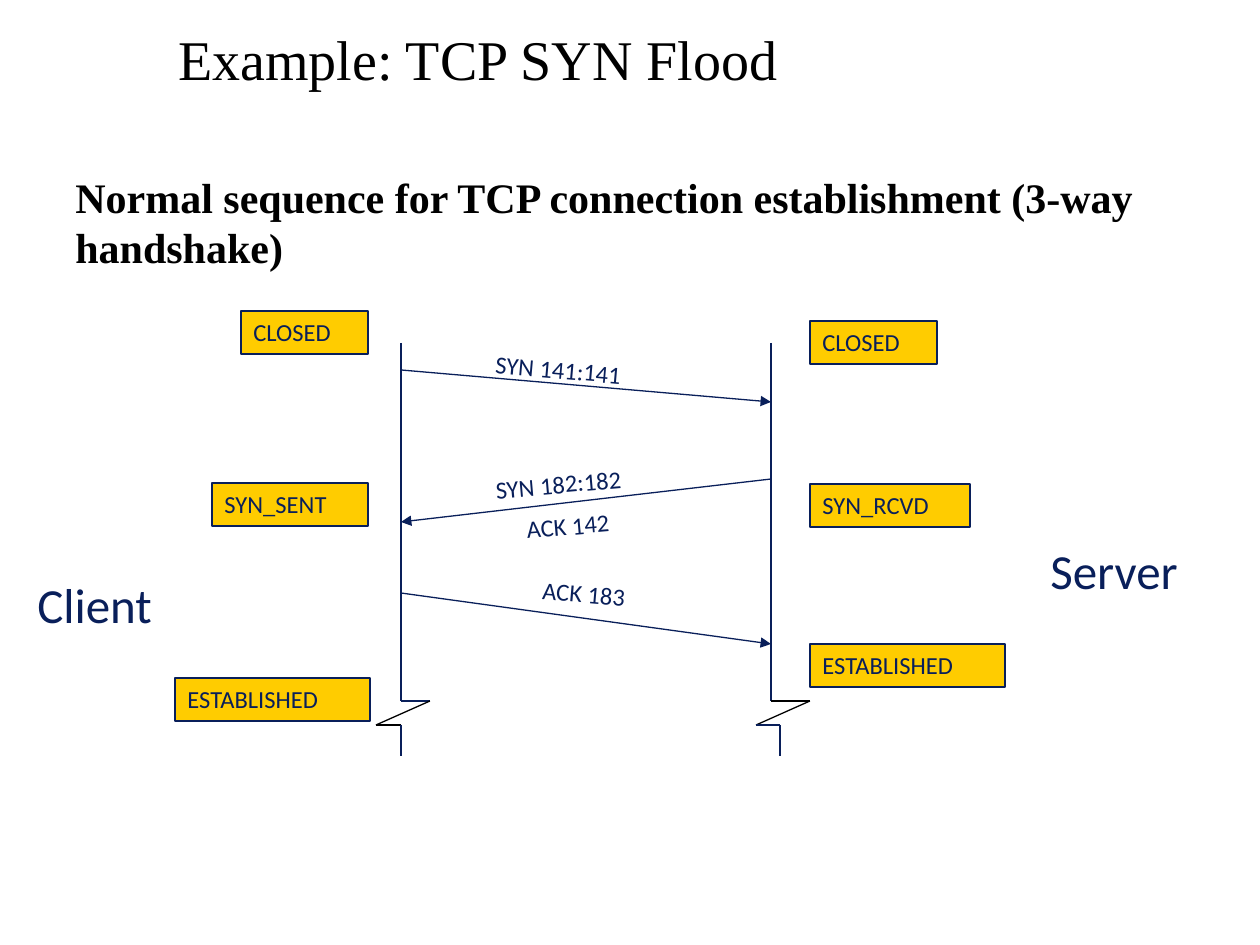
from itertools import pairwise

from lxml.etree import SubElement
from pptx import Presentation
from pptx.dml.color import RGBColor
from pptx.enum.shapes import MSO_CONNECTOR, MSO_SHAPE
from pptx.enum.text import MSO_ANCHOR, MSO_AUTO_SIZE, PP_ALIGN
from pptx.oxml.ns import qn
from pptx.util import Emu, Pt

NAVY = "091F5A"
BLACK = "000000"
YELLOW = "FFCC00"


def px(length):
    """Turn pixels into EMU at 126 pixels to the inch."""
    return Emu(round(length * 914400 / 126))


def color(value):
    """Turn a hex string into a colour."""
    return RGBColor.from_string(value)


def write(box, text, size, font="Calibri", ink=NAVY, bold=False, wrap=False,
          anchor=MSO_ANCHOR.TOP, fit=MSO_AUTO_SIZE.SHAPE_TO_FIT_TEXT):
    """Write one left-aligned line of text into a box."""
    frame = box.text_frame
    frame.word_wrap = wrap
    frame.auto_size = fit
    frame.vertical_anchor = anchor
    para = frame.paragraphs[0]
    para.alignment = PP_ALIGN.LEFT
    span = para.add_run()
    span.text = text
    span.font.name = font
    span.font.size = Pt(size)
    span.font.bold = bold
    span.font.color.rgb = color(ink)


def add_text(page, left, top, width, height, text, size, rotation=0, **style):
    """Add a text box, turned by the given degrees."""
    box = page.shapes.add_textbox(px(left), px(top), px(width), px(height))
    box.rotation = rotation
    write(box, text, size, **style)


def add_line(page, start, end, ink=NAVY, arrow=False):
    """Add a thin straight line, with an arrowhead at its end if asked."""
    line = page.shapes.add_connector(
        MSO_CONNECTOR.STRAIGHT, *(px(value) for value in (*start, *end)))
    line.line.color.rgb = color(ink)
    line.line.width = Pt(0.75)
    if arrow:
        SubElement(line.line._get_or_add_ln(), qn("a:tailEnd"), type="triangle")
    SubElement(line._element.spPr, qn("a:effectLst"))


def add_state(page, left, top, width, text):
    """Add a yellow box that names a connection state."""
    box = page.shapes.add_shape(
        MSO_SHAPE.RECTANGLE, px(left), px(top), px(width), px(43))
    box.shadow.inherit = False
    box.fill.solid()
    box.fill.fore_color.rgb = color(YELLOW)
    box.line.color.rgb = color(NAVY)
    box.line.width = Pt(0.75)
    write(box, text, 14)


def add_lifeline(page, left, top, height, offsets, inks):
    """Add a vertical lifeline that ends in a zigzag break."""
    bottom = top + height
    add_line(page, (left, top), (left, bottom))
    drops = (0, 0, 24, 24, 55)
    points = [(left + across, bottom + drop)
              for across, drop in zip(offsets, drops)]
    for (start, end), ink in zip(pairwise(points), inks):
        add_line(page, start, end, ink)


def add_handshake(page, left, top, width, height):
    """Add the message sequence between the client and server lifelines."""
    right = left + width
    add_lifeline(page, left, top, height, (0, 29, -25, 0, 0),
                 (NAVY, BLACK, BLACK, NAVY))
    add_lifeline(page, right, top, height, (0, 39, -15, 9, 9),
                 (BLACK, BLACK, NAVY, NAVY))

    messages = ((left, 27, right, 59), (right, 136, left, 179),
                (left, 250, right, 301))
    for start, leave, end, arrive in messages:
        add_line(page, (start, top + leave), (end, top + arrive), arrow=True)

    labels = ((82, 6, 171, "SYN 141:141", 5), (82, 119, 171, "SYN 182:182", 355),
              (113, 161, 123, "ACK 142", 355), (129, 230, 123, "ACK 183", 5))
    for across, down, wide, text, rotation in labels:
        add_text(page, left + across, top + down, wide, 42, text, 14, rotation)

    add_text(page, left - 376, top + 225, 151, 72, "Client", 28)
    add_text(page, right + 267, top + 191, 170, 72, "Server", 28)

    client_states = ((-160, -32, 127, "CLOSED"), (-189, 140, 156, "SYN_SENT"),
                     (-226, 335, 195, "ESTABLISHED"))
    server_states = ((39, -22, 127, "CLOSED"), (39, 141, 160, "SYN_RCVD"),
                     (39, 301, 195, "ESTABLISHED"))
    for axis, states in ((left, client_states), (right, server_states)):
        for across, down, wide, text in states:
            add_state(page, axis + across, top + down, wide, text)


def add_headings(page, left, top, width):
    """Add the slide title and the bold statement below it."""
    add_text(page, left + 103, top, 914, 116, "Example: TCP SYN Flood", 32,
             font="Times New Roman", ink=BLACK, wrap=True,
             anchor=MSO_ANCHOR.MIDDLE, fit=MSO_AUTO_SIZE.NONE)
    add_text(page, left, top + 165, width, 115,
             "Normal sequence for TCP connection establishment (3-way handshake)",
             24, font="Times New Roman", ink=BLACK, bold=True, wrap=True)


def main():
    """Build the slide and save it."""
    deck = Presentation()
    deck.slide_width = px(1260)
    deck.slide_height = px(945)
    page = deck.slides.add_slide(deck.slide_layouts[6])
    add_headings(page, 63, 0, 1148)
    add_handshake(page, 401, 343, 370, 358)
    deck.save("out.pptx")


if __name__ == "__main__":
    main()
